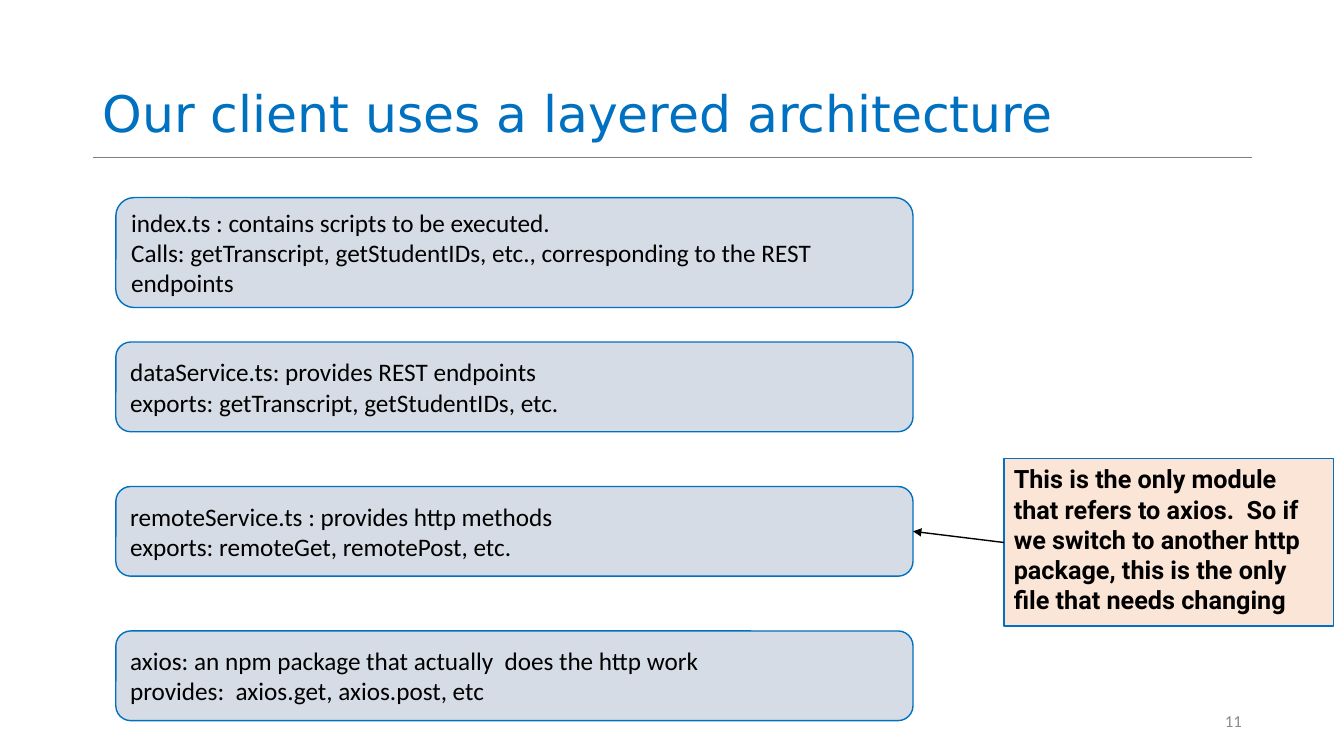
from lxml import etree
from pptx import Presentation
from pptx.dml.color import RGBColor
from pptx.enum.shapes import MSO_CONNECTOR, MSO_SHAPE
from pptx.enum.text import MSO_ANCHOR, PP_ALIGN
from pptx.oxml.ns import qn
from pptx.util import Cm, Pt

STRAIGHT = MSO_CONNECTOR.STRAIGHT
RECTANGLE, ROUNDED = MSO_SHAPE.RECTANGLE, MSO_SHAPE.ROUNDED_RECTANGLE
TOP, MIDDLE, BOTTOM = MSO_ANCHOR.TOP, MSO_ANCHOR.MIDDLE, MSO_ANCHOR.BOTTOM
LEFT, RIGHT = PP_ALIGN.LEFT, PP_ALIGN.RIGHT

BLUE, BLACK, GREY = "0070C0", "000000", "8C8C8C"
LAYER_FILL, NOTE_FILL, RULE_COLOUR = "D6DCE5", "FBE5D6", "7F7F7F"

TITLE = "Our client uses a layered architecture"
PAGE_NUMBER = "11"
LAYERS = [
    (2.77, ["index.ts : contains scripts to be executed.",
            "Calls: getTranscript, getStudentIDs, etc., corresponding to the REST endpoints"]),
    (2.26, ["dataService.ts: provides REST endpoints",
            "exports: getTranscript, getStudentIDs, etc."]),
    (2.26, ["remoteService.ts : provides http methods",
            "exports: remoteGet, remotePost, etc."]),
    (2.26, ["axios: an npm package that actually  does the http work",
            "provides:  axios.get, axios.post, etc"]),
]
NOTED_LAYER = 2
NOTE = ("This is the only module that refers to axios.  So if we switch to another "
        "http package, this is the only file that needs changing")

LAYER_LEFT, LAYER_TOP, LAYER_WIDTH, LAYER_PITCH = 2.92, 4.98, 20.09, 3.64


def colour(value):
    return RGBColor.from_string(value)


def write(box, lines, font, size, ink, anchor=MIDDLE, align=LEFT, bold=False, spacing=1.0):
    frame = box.text_frame
    frame.word_wrap = True
    frame.vertical_anchor = anchor
    for index, line in enumerate(lines):
        para = frame.add_paragraph() if index else frame.paragraphs[0]
        para.alignment = align
        para.line_spacing = spacing
        span = para.add_run()
        span.text = line
        span.font.name = font
        span.font.size = Pt(size)
        span.font.bold = bold
        span.font.color.rgb = colour(ink)


def add_text(page, left, top, width, height):
    return page.shapes.add_textbox(Cm(left), Cm(top), Cm(width), Cm(height))


def add_panel(page, kind, left, top, width, height, fill):
    panel = page.shapes.add_shape(kind, Cm(left), Cm(top), Cm(width), Cm(height))
    panel.shadow.inherit = False
    panel.fill.solid()
    panel.fill.fore_color.rgb = colour(fill)
    panel.line.color.rgb = colour(BLUE)
    panel.line.width = Pt(1)
    return panel


def add_line(page, start, end, ink, width):
    line = page.shapes.add_connector(STRAIGHT, *(Cm(value) for value in start + end))
    line.line.color.rgb = colour(ink)
    line.line.width = Pt(width)
    etree.SubElement(line._element.spPr, qn("a:effectLst"))
    return line


def main():
    deck = Presentation()
    deck.slide_width, deck.slide_height = Cm(33.87), Cm(19.05)
    page = deck.slides.add_slide(deck.slide_layouts[6])

    add_line(page, (2.34, 3.96), (31.55, 3.96), RULE_COLOUR, 0.5)
    title = add_text(page, 2.34, 0.05, 29.21, 3.68)
    write(title, [TITLE], "DejaVu Sans", 36, BLUE, anchor=BOTTOM, spacing=0.9)
    number = add_text(page, 23.93, 17.65, 7.62, 1.02)
    write(number, [PAGE_NUMBER], "Calibri", 12, GREY, align=RIGHT)

    panels = []
    for index, (height, lines) in enumerate(LAYERS):
        top = LAYER_TOP + index * LAYER_PITCH
        panel = add_panel(page, ROUNDED, LAYER_LEFT, top, LAYER_WIDTH, height, LAYER_FILL)
        write(panel, lines, "Calibri", 18, BLACK)
        panels.append(panel)

    note = add_panel(page, RECTANGLE, 25.3, 11.56, 8.31, 4.22, NOTE_FILL)
    write(note, [NOTE], "Roboto", 18, BLACK, anchor=TOP, bold=True)

    arrow = add_line(page, (25.3, 13.67), (23.01, 13.39), BLACK, 1)
    arrow.begin_connect(note, 1)
    arrow.end_connect(panels[NOTED_LAYER], 3)
    etree.SubElement(arrow.line._get_or_add_ln(), qn("a:tailEnd"), type="triangle")

    deck.save("out.pptx")


if __name__ == "__main__":
    main()
